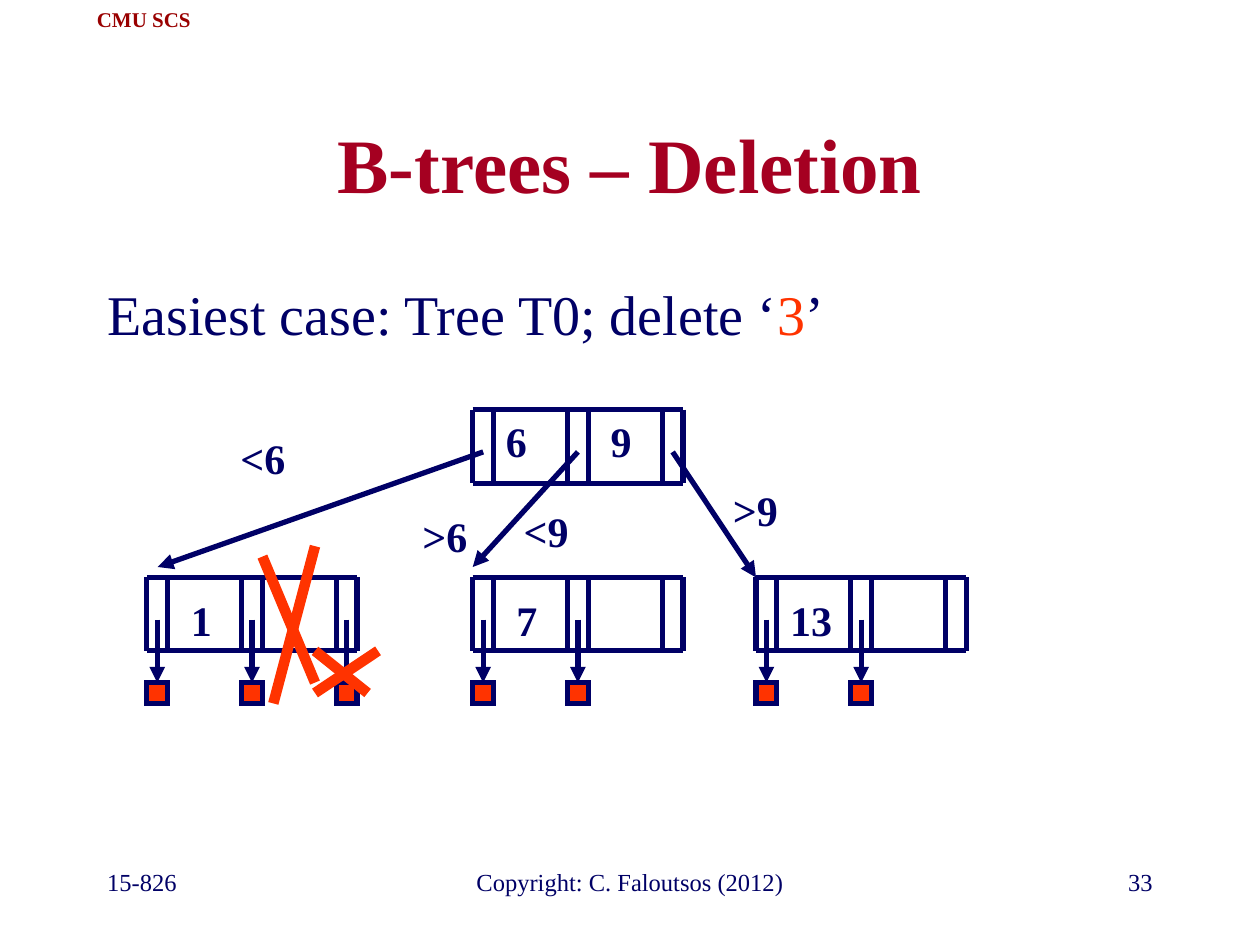
"""Build a slide showing the easiest case of deletion from a B-tree."""
from pptx import Presentation
from pptx.dml.color import RGBColor
from pptx.enum.shapes import MSO_CONNECTOR, MSO_SHAPE
from pptx.enum.text import MSO_ANCHOR, MSO_AUTO_SIZE, PP_ALIGN
from pptx.oxml.ns import qn
from pptx.util import Cm, Pt
from lxml import etree

NAVY = RGBColor(0x00, 0x00, 0x66)
ORANGE = RGBColor(0xFF, 0x33, 0x00)
CRIMSON = RGBColor(0xA5, 0x00, 0x21)
MAROON = RGBColor(0x99, 0x00, 0x00)
FONT = "Times New Roman"
STRAIGHT = MSO_CONNECTOR.STRAIGHT
RECTANGLE = MSO_SHAPE.RECTANGLE
LEFT, CENTER, RIGHT = PP_ALIGN.LEFT, PP_ALIGN.CENTER, PP_ALIGN.RIGHT
TOP, MIDDLE = MSO_ANCHOR.TOP, MSO_ANCHOR.MIDDLE
FIXED_SIZE, FIT_SHAPE = MSO_AUTO_SIZE.NONE, MSO_AUTO_SIZE.SHAPE_TO_FIT_TEXT

SLOT_WIDTH = 0.42
SLOT_PITCH = 1.91
NODE_WIDTH = 2 * SLOT_PITCH + SLOT_WIDTH
NODE_HEIGHT = 1.48
ROOT_TOP, LEAF_TOP = 8.26, 11.64
RECORD_TOP = 13.76
POINTER_DROP = 0.85
ROOT_LEFT = 9.53
LEAVES = [(15.24, 2), (9.53, 2), (2.96, 3)]
CHILD_ENDS = [(3.18, 11.43), (9.53, 11.43), (15.24, LEAF_TOP)]
LABELS = [
    ("1", 3.6, 11.86, 0.92), ("6", 9.95, 8.26, 0.92), ("7", 10.16, 11.86, 0.92),
    ("9", 12.06, 8.26, 0.92), ("13", 15.67, 11.86, 1.36),
    ("<6", 4.57, 8.59, 1.46), (">6", 8.24, 10.16, 1.46),
    ("<9", 10.28, 10.06, 1.46), (">9", 14.5, 9.65, 1.46),
]
CROSS_STROKES = [
    ((5.29, 11.22), (6.35, 13.76)), ((6.35, 11.01), (5.51, 14.18)),
    ((7.62, 13.12), (6.35, 13.97)), ((6.35, 13.12), (7.41, 13.97)),
]
FOOTERS = [
    ("15-826", 1.91, 5.29, LEFT),
    ("Copyright: C. Faloutsos (2012)", 8.68, 8.04, CENTER),
    ("33", 18.2, 5.29, RIGHT),
]


def place(shape, left, top, width, height):
    """Move and size a shape in centimetres."""
    shape.left, shape.top = Cm(left), Cm(top)
    shape.width, shape.height = Cm(width), Cm(height)


def add_run(paragraph, text, size, color, bold=False):
    """Append one formatted run to a paragraph."""
    run = paragraph.add_run()
    run.text = text
    run.font.name = FONT
    run.font.size = Pt(size)
    run.font.bold = bold
    run.font.color.rgb = color


def add_text(slide, text, box, size, color=NAVY, bold=False, align=CENTER,
             anchor=TOP, wrap=False):
    """Add a text box holding one line of text."""
    shape = slide.shapes.add_textbox(*(Cm(length) for length in box))
    frame = shape.text_frame
    frame.word_wrap = wrap
    frame.auto_size = FIXED_SIZE if wrap else FIT_SHAPE
    frame.vertical_anchor = anchor
    frame.paragraphs[0].alignment = align
    add_run(frame.paragraphs[0], text, size, color, bold)


def add_line(slide, start, end, color=NAVY, width=3, arrow=False):
    """Draw a straight line, with an arrowhead at its end if asked."""
    points = (Cm(length) for length in (*start, *end))
    connector = slide.shapes.add_connector(STRAIGHT, *points)
    connector.line.color.rgb = color
    connector.line.width = Pt(width)
    if arrow:
        line = connector.line._get_or_add_ln()
        etree.SubElement(line, qn("a:tailEnd"), type="triangle")
    etree.SubElement(connector._element.spPr, qn("a:effectLst"))


def add_node(slide, left, top):
    """Draw a tree node with three pointer slots around two key cells."""
    bottom = top + NODE_HEIGHT
    for slot in range(3):
        for edge in (0, SLOT_WIDTH):
            x = left + slot * SLOT_PITCH + edge
            add_line(slide, (x, top), (x, bottom))
    for y in (top, bottom):
        add_line(slide, (left, y), (left + NODE_WIDTH, y))


def add_record(slide, left):
    """Draw a data record as a small square with sharp corners."""
    shape = slide.shapes.add_shape(RECTANGLE, Cm(left), Cm(RECORD_TOP),
                                   Cm(SLOT_WIDTH), Cm(SLOT_WIDTH))
    shape.shadow.inherit = False
    shape.fill.solid()
    shape.fill.fore_color.rgb = ORANGE
    shape.line.color.rgb = NAVY
    shape.line.width = Pt(3)
    etree.SubElement(shape.line._get_or_add_ln(), qn("a:miter"), lim="800000")


def add_leaf(slide, left, record_count):
    """Draw a leaf node with arrows down to its records."""
    add_node(slide, left, LEAF_TOP)
    for slot in range(record_count):
        slot_left = left + slot * SLOT_PITCH
        x = slot_left + SLOT_WIDTH / 2
        add_line(slide, (x, LEAF_TOP + POINTER_DROP), (x, RECORD_TOP), arrow=True)
        add_record(slide, slot_left)


def add_tree(slide):
    """Draw the root, the leaves, the arrows between them and the labels."""
    add_node(slide, ROOT_LEFT, ROOT_TOP)
    for left, record_count in LEAVES:
        add_leaf(slide, left, record_count)
    for slot, end in enumerate(CHILD_ENDS):
        x = ROOT_LEFT + slot * SLOT_PITCH + SLOT_WIDTH / 2
        add_line(slide, (x, ROOT_TOP + POINTER_DROP), end, arrow=True)
    for text, left, top, width in LABELS:
        add_text(slide, text, (left, top, width, 1.27), 24, bold=True)


def fill_title(slide):
    """Format the title placeholder and write the title."""
    title = slide.shapes.title
    place(title, 1.91, 1.69, 21.59, 3.18)
    title.text_frame.auto_size = FIXED_SIZE
    title.text_frame.vertical_anchor = MIDDLE
    paragraph = title.text_frame.paragraphs[0]
    paragraph.alignment = CENTER
    add_run(paragraph, "B-trees – Deletion", 44, CRIMSON, bold=True)


def fill_body(slide):
    """Format the body placeholder and write the unbulleted statement."""
    body = slide.placeholders[1]
    place(body, 1.91, 5.5, 21.59, 1.69)
    body.text_frame.auto_size = FIXED_SIZE
    paragraph = body.text_frame.paragraphs[0]
    properties = paragraph._p.get_or_add_pPr()
    properties.set("marL", str(Cm(0.95)))
    properties.set("indent", str(Cm(-0.95)))
    etree.SubElement(properties, qn("a:buNone"))
    paragraph.space_before = Pt(0)
    add_run(paragraph, "Easiest case: Tree T0; delete ‘", 32, NAVY)
    add_run(paragraph, "3", 32, ORANGE)
    add_run(paragraph, "’", 32, NAVY)


def main():
    """Build the slide and save it."""
    presentation = Presentation()
    presentation.slide_width, presentation.slide_height = Cm(25.4), Cm(19.05)
    slide = presentation.slides.add_slide(presentation.slide_layouts[1])
    add_text(slide, "CMU SCS", (1.6, 0, 2.6, 0.76), 12, MAROON, bold=True,
             anchor=MIDDLE)
    for text, left, width, align in FOOTERS:
        add_text(slide, text, (left, 17.36, width, 1.27), 14, align=align, wrap=True)
    fill_title(slide)
    fill_body(slide)
    add_tree(slide)
    for start, end in CROSS_STROKES:
        add_line(slide, start, end, ORANGE, 6)
    presentation.save("out.pptx")


if __name__ == "__main__":
    main()
